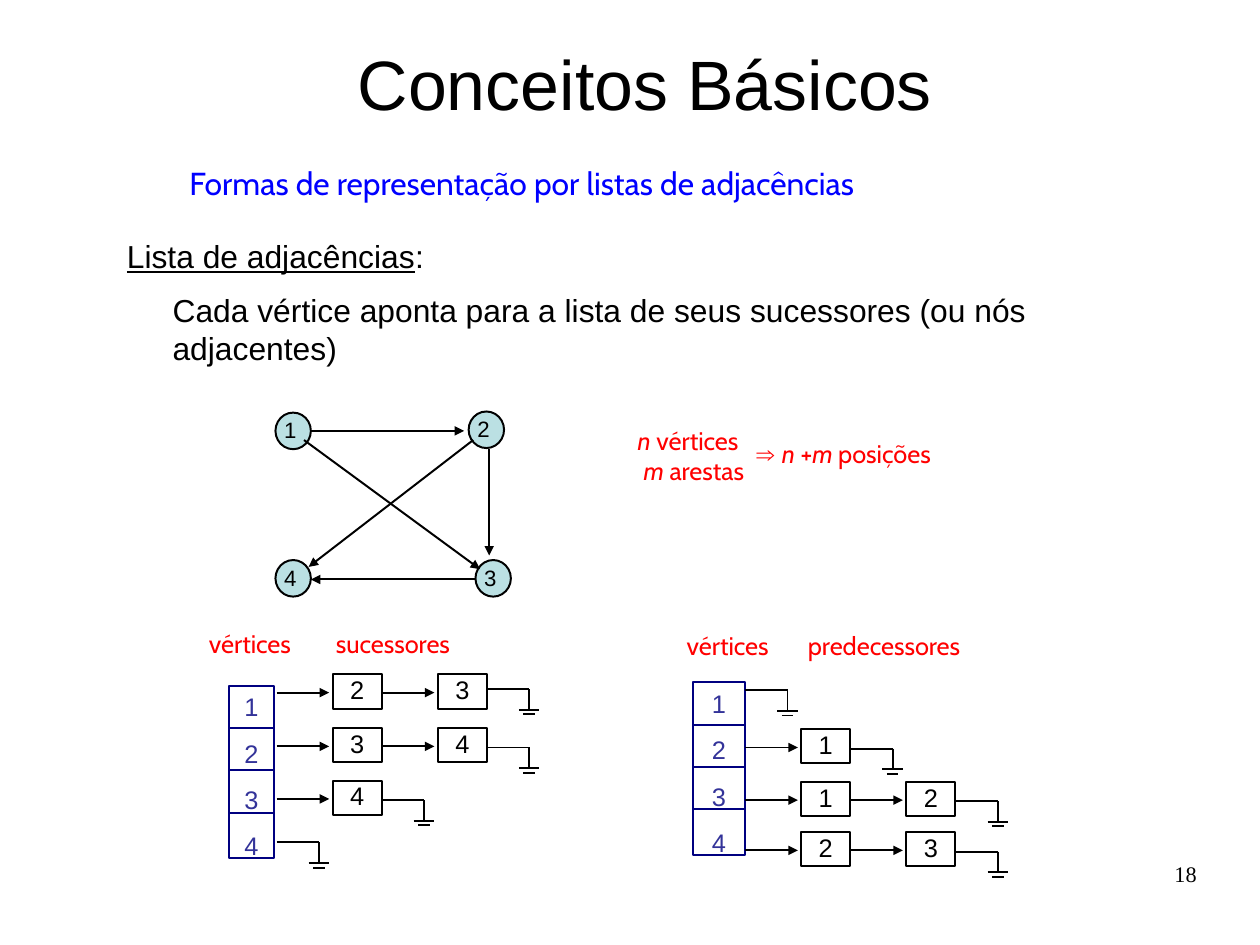
import dataclasses

import pptx
import pptx.dml.color
import pptx.enum.shapes
import pptx.enum.text
import pptx.oxml.ns
import pptx.util
from lxml import etree
from pptx.util import Inches

ALIGN = pptx.enum.text.PP_ALIGN
ANCHOR = pptx.enum.text.MSO_ANCHOR
SHAPE = pptx.enum.shapes.MSO_SHAPE


@dataclasses.dataclass(frozen=True)
class Theme:
    ink: str = "000000"
    heading: str = "0000FF"
    note: str = "FF0000"
    node: str = "BBE0E3"
    column_line: str = "000080"
    column_text: str = "333399"
    title_size: float = 44
    body_size: float = 20
    list_size: float = 16
    small_size: float = 14
    line_width: float = 1.25
    sans: str = "Arial"
    accent: str = "Cabin"
    serif: str = "Times New Roman"


THEME = Theme()
CM_PER_INCH = 2.54
LINK_STEP, LINK_LENGTH, CELL_OFFSET = 0.92, 0.46, 0.49
CELL_WIDTH, CELL_HEIGHT = 0.43, 0.3
COLUMN_HEIGHT, COLUMN_STEP = 1.51, 0.37
SUCCESSORS = [(5.9, 6.03, "23"), (6.37, 6.54, "34"), (6.83, 7, "4"), (7.28, 7.37, "")]
PREDECESSORS = [(5.9, 6.04, ""), (6.38, 6.55, "1"), (6.84, 7.01, "12"), (7.28, 7.45, "23")]
NODES = [("1", 2.41, 3.61), ("2", 4.1, 3.6), ("3", 4.16, 4.9), ("4", 2.41, 4.9)]
EDGES = [
    ((2.72, 3.77), (4.06, 3.77)),
    ((4.28, 3.93), (4.28, 4.86)),
    ((2.66, 3.85), (4.2, 4.98)),
    ((4.14, 3.85), (2.7, 4.96)),
    ((4.16, 5.07), (2.72, 5.07)),
]


def rgb(value):
    return pptx.dml.color.RGBColor.from_string(value)


def style_frame(frame, insets=(0.1, 0.05, 0.1, 0.05), anchor=ANCHOR.TOP):
    frame.word_wrap = True
    frame.auto_size = pptx.enum.text.MSO_AUTO_SIZE.NONE
    frame.vertical_anchor = anchor
    left, top, right, bottom = map(Inches, insets)
    frame.margin_left, frame.margin_top = left, top
    frame.margin_right, frame.margin_bottom = right, bottom


def style_paragraphs(frame, size, color, face, align=ALIGN.LEFT, before=10):
    for paragraph in frame.paragraphs:
        paragraph.alignment = align
        paragraph.space_before = pptx.util.Pt(before)
        for run in paragraph.runs:
            run.font.size = pptx.util.Pt(size)
            run.font.color.rgb = rgb(color)
            run.font.name = face


def add_runs(paragraph, pieces):
    for text, italic in pieces:
        run = paragraph.add_run()
        run.text = text
        run.font.italic = italic


def place(shape, left, top, width, height):
    shape.left, shape.top = Inches(left), Inches(top)
    shape.width, shape.height = Inches(width), Inches(height)


def add_label(slide, box, text, size, color, face):
    label = slide.shapes.add_textbox(*map(Inches, box))
    style_frame(label.text_frame)
    label.text_frame.text = text
    style_paragraphs(label.text_frame, size, color, face)
    return label.text_frame


def add_list_heading(slide, box, text, tab):
    heading = add_label(slide, box, text, THEME.list_size, THEME.note, THEME.accent)
    properties = heading.paragraphs[0]._p.get_or_add_pPr()
    stops = etree.SubElement(properties, pptx.oxml.ns.qn("a:tabLst"))
    etree.SubElement(stops, pptx.oxml.ns.qn("a:tab"), pos=str(Inches(tab)), algn="l")


def add_line(shapes, start, end, color=THEME.ink, arrow=False):
    line = shapes.add_connector(
        pptx.enum.shapes.MSO_CONNECTOR.STRAIGHT, *map(Inches, (*start, *end)))
    line.line.color.rgb = rgb(color)
    line.line.width = pptx.util.Pt(THEME.line_width)
    if arrow:
        etree.SubElement(line.line._get_or_add_ln(), pptx.oxml.ns.qn("a:tailEnd"), type="triangle")
    etree.SubElement(line._element.spPr, pptx.oxml.ns.qn("a:effectLst"))


def add_outline(shapes, kind, box, text, color=THEME.ink, text_color=THEME.ink,
                size=THEME.list_size, fill=None, insets=(0.1, 0, 0.1, 0.05),
                anchor=ANCHOR.TOP):
    outline = shapes.add_shape(kind, *map(Inches, box))
    outline.shadow.inherit = False
    if fill:
        outline.fill.solid()
        outline.fill.fore_color.rgb = rgb(fill)
    else:
        outline.fill.background()
    outline.line.color.rgb = rgb(color)
    outline.line.width = pptx.util.Pt(THEME.line_width)
    style_frame(outline.text_frame, insets, anchor)
    outline.text_frame.text = text
    style_paragraphs(outline.text_frame, size, text_color, THEME.sans, ALIGN.CENTER)


def add_graph(slide):
    graph = slide.shapes.add_group_shape().shapes
    for name, left, top in NODES:
        add_outline(graph, SHAPE.OVAL, (left, top, 0.31, 0.32), name,
                    size=THEME.small_size, fill=THEME.node, insets=(0, 0, 0.05, 0.02),
                    anchor=ANCHOR.MIDDLE)
    for start, end in EDGES:
        add_line(graph, start, end, arrow=True)


def add_vertex_column(slide, left, top, width):
    column = slide.shapes.add_group_shape().shapes
    add_outline(column, SHAPE.RECTANGLE, (left, top, width, COLUMN_HEIGHT), "1\n2\n3\n4",
                THEME.column_line, THEME.column_text, insets=(0.1, 0.05, 0.1, 0.05))
    for row in range(1, 4):
        y = top + row * COLUMN_STEP
        add_line(column, (left, y), (left + width, y), THEME.column_line)


def add_list_end(slide, x, y):
    ground = slide.shapes.add_group_shape().shapes
    stem = x + 0.37
    add_line(ground, (x, y), (stem, y))
    add_line(ground, (stem, y), (stem, y + 0.18))
    for half_width, drop in ((0.09, 0.18), (0.05, 0.22)):
        add_line(ground, (stem - half_width, y + drop), (stem + half_width, y + drop))


def add_adjacency_lists(slide, left, rows):
    for cell_top, end_y, vertices in rows:
        link_y = cell_top + 0.16
        for index, vertex in enumerate(vertices):
            x = left + index * LINK_STEP
            add_line(slide.shapes, (x, link_y), (x + LINK_LENGTH, link_y), arrow=True)
            add_outline(slide.shapes, SHAPE.RECTANGLE,
                        (x + CELL_OFFSET, cell_top, CELL_WIDTH, CELL_HEIGHT), vertex)
        add_list_end(slide, left + len(vertices) * LINK_STEP, end_y)


def fill_title(title):
    place(title, 1.74, 0.26, 7.81, 0.92)
    style_frame(title.text_frame, anchor=ANCHOR.MIDDLE)
    title.text_frame.text = "Conceitos Básicos"
    style_paragraphs(title.text_frame, THEME.title_size, THEME.ink, THEME.sans, ALIGN.CENTER, 0)


def fill_definition(body):
    place(body, 1.01, 2.02, 9, 1.56)
    frame = body.text_frame
    style_frame(frame)
    add_runs(frame.paragraphs[0], [("Lista de adjacências", False), (":", False)])
    frame.paragraphs[0].runs[0].font.underline = True
    frame.add_paragraph().text = (
        "Cada vértice aponta para a lista de seus sucessores (ou nós adjacentes)")
    style_paragraphs(frame, THEME.body_size, THEME.ink, THEME.sans)
    for paragraph, indent in zip(frame.paragraphs, (0, 0.4)):
        properties = paragraph._p.get_or_add_pPr()
        properties.set("marL", str(Inches(indent)))
        properties.set("indent", "0")
        etree.SubElement(properties, pptx.oxml.ns.qn("a:buNone"))


def add_storage_note(slide):
    style = (THEME.list_size, THEME.note, THEME.accent)
    counts = add_label(slide, (5.05, 3.67, 1.56, 0.71), "", *style)
    add_runs(counts.paragraphs[0], [("n", True), (" vértices ", False)])
    add_runs(counts.add_paragraph(), [("m", True), (" arestas", False)])
    style_paragraphs(counts, *style, ALIGN.RIGHT, 0)
    total = add_label(slide, (6.52, 3.78, 2.57, 0.4), "", *style)
    add_runs(total.paragraphs[0], [("⇒ ", False), ("n ", True), ("+", False),
                                   ("m", True), (" posições", False)])
    style_paragraphs(total, *style)
    implication = total.paragraphs[0].runs[0].font
    implication.name = THEME.sans
    implication.bold = True


def main():
    deck = pptx.Presentation()
    deck.slide_width = Inches(28 / CM_PER_INCH)
    deck.slide_height = Inches(21 / CM_PER_INCH)
    slide = deck.slides.add_slide(deck.slide_layouts[1])
    fill_title(slide.shapes.title)
    fill_definition(slide.placeholders[1])
    add_label(slide, (1.56, 1.38, 8.27, 0.48), "Formas de representação por listas de adjacências",
              THEME.body_size, THEME.heading, THEME.accent)
    add_graph(slide)
    add_storage_note(slide)
    add_list_heading(slide, (1.73, 5.45, 2.85, 0.4), "vértices\tsucessores", 1.11)
    add_vertex_column(slide, 2, 6, 0.4)
    add_adjacency_lists(slide, 2.42, SUCCESSORS)
    add_list_heading(slide, (5.91, 5.46, 2.85, 0.71), "vértices\tpredecessores", 1.06)
    add_vertex_column(slide, 6.06, 5.97, 0.46)
    add_adjacency_lists(slide, 6.52, PREDECESSORS)
    number = add_label(slide, (7.9, 7.53, 2.57, 0.57), "18",
                       THEME.small_size, THEME.ink, THEME.serif)
    style_frame(number, (0, 0, 0, 0))
    style_paragraphs(number, THEME.small_size, THEME.ink, THEME.serif, ALIGN.RIGHT, 0)
    deck.save("out.pptx")


if __name__ == "__main__":
    main()
